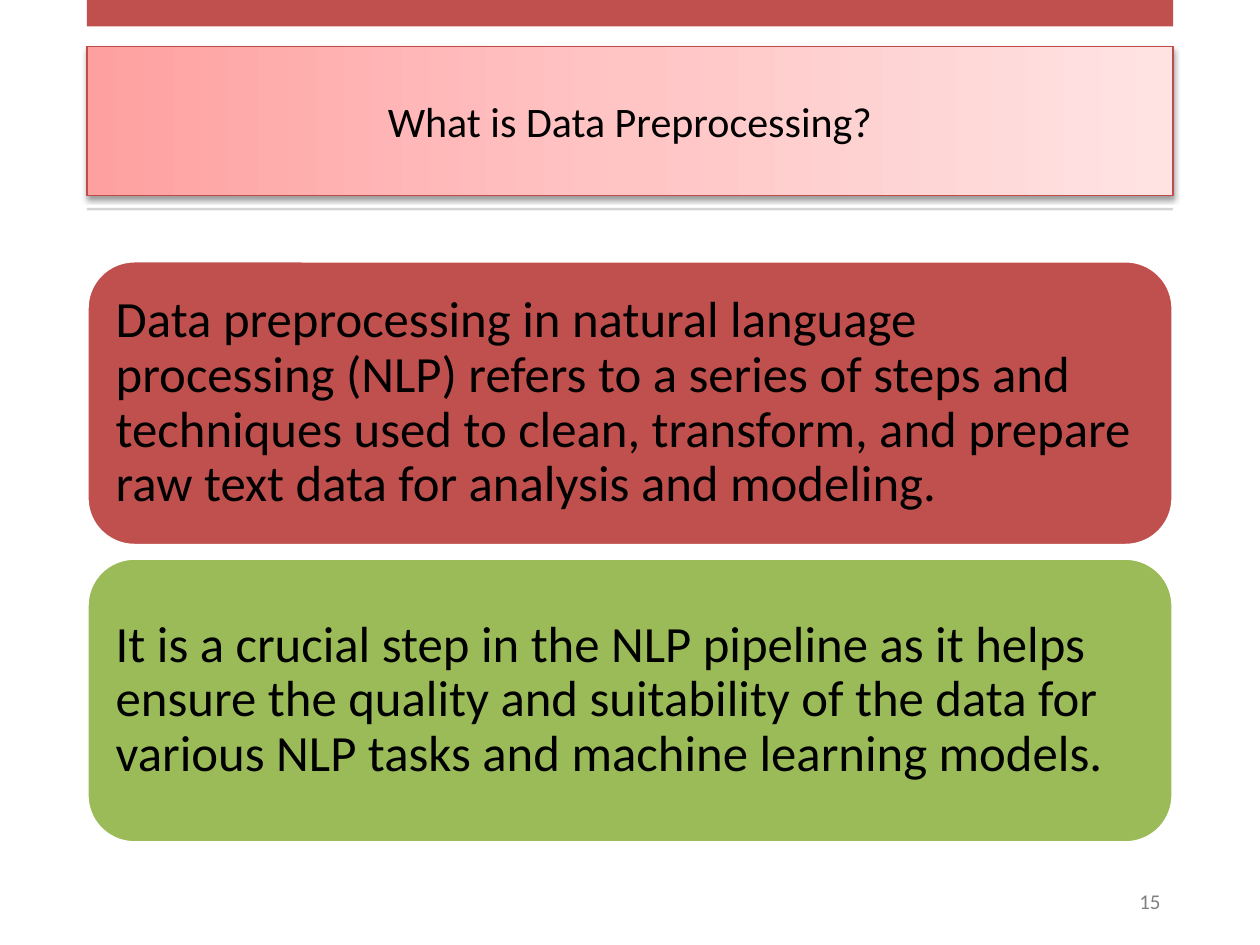
from pptx import Presentation
from pptx.dml.color import RGBColor
from pptx.enum import shapes, text
from pptx.oxml import parse_xml
from pptx.util import Pt

TITLE = "What is Data Preprocessing?"
NUMBER = "15"
CARDS = [
    ("Data preprocessing in natural language processing (NLP) refers to a series of "
     "steps and techniques used to clean, transform, and prepare raw text data for "
     "analysis and modeling.", "red"),
    ("It is a crucial step in the NLP pipeline as it helps ensure the quality and "
     "suitability of the data for various NLP tasks and machine learning models.", "green"),
]
THEME = {
    "font": "Calibri",
    "size": {"title": 24, "card": 29, "number": 12},
    "color": {"red": "C0504D", "green": "9BBB59", "rule": "D5D5D5", "edge": "BF4C48",
              "ink": "000000", "gray": "808080", "white": "FFFFFF"},
    "grad": [(0, "FFA0A0"), (50, "FFC5C5"), (100, "FFE3E3")],
}
LEFT, WIDE = 49.68, 620.64
TOP, HIGH, GAP = 149.04, 162.72, 7.2
INSET = 8.5
NS = 'xmlns:a="http://schemas.openxmlformats.org/drawingml/2006/main"'


def color(name):
    return RGBColor.from_string(THEME["color"][name])


def write(shape, words, role, align, ink="ink"):
    frame = shape.text_frame
    frame.word_wrap = True
    frame.auto_size = text.MSO_AUTO_SIZE.NONE
    frame.vertical_anchor = text.MSO_ANCHOR.MIDDLE
    para = frame.paragraphs[0]
    para.alignment = align
    run = para.add_run()
    run.text = words
    run.font.name = THEME["font"]
    run.font.size = Pt(THEME["size"][role])
    run.font.color.rgb = color(ink)
    return frame


def block(slide, kind, top, high, fill):
    shape = slide.shapes.add_shape(kind, Pt(LEFT), Pt(top), Pt(WIDE), Pt(high))
    shape.shadow.inherit = False
    shape.fill.solid()
    shape.fill.fore_color.rgb = color(fill)
    shape.line.fill.background()
    return shape


def head(slide):
    title = slide.shapes.title
    title.left, title.top, title.width, title.height = Pt(LEFT), Pt(26.64), Pt(WIDE), Pt(84.96)
    stops = "".join(f'<a:gs pos="{pos * 1000}"><a:srgbClr val="{tint}"/></a:gs>'
                    for pos, tint in THEME["grad"])
    props = title.element.spPr
    props.append(parse_xml(f'<a:prstGeom {NS} prst="rect"><a:avLst/></a:prstGeom>'))
    props.append(parse_xml(f'<a:gradFill {NS} rotWithShape="1"><a:gsLst>{stops}</a:gsLst>'
                           '<a:lin ang="0" scaled="0"/></a:gradFill>'))
    title.line.color.rgb = color("edge")
    title.line.width = Pt(0.75)
    props.append(parse_xml(
        f'<a:effectLst {NS}><a:outerShdw blurRad="{Pt(3.1)}" dist="{Pt(1.6)}" dir="5400000" '
        'rotWithShape="0"><a:srgbClr val="000000"><a:alpha val="38000"/></a:srgbClr>'
        '</a:outerShdw></a:effectLst>'))
    write(title, TITLE, "title", text.PP_ALIGN.CENTER)


def main():
    deck = Presentation()
    deck.slide_width, deck.slide_height = Pt(720), Pt(540)
    slide = deck.slides.add_slide(deck.slide_layouts[5])
    head(slide)
    kinds = shapes.MSO_SHAPE
    block(slide, kinds.RECTANGLE, 0, 15.12, "red")
    block(slide, kinds.RECTANGLE, 118.8, 1.44, "rule")

    box = slide.shapes.add_textbox(Pt(514.8), Pt(500.4), Pt(155.52), Pt(28.8))
    write(box, NUMBER, "number", text.PP_ALIGN.RIGHT, "gray")

    for i, (words, fill) in enumerate(CARDS):
        card = block(slide, kinds.ROUNDED_RECTANGLE, TOP + i * (HIGH + GAP), HIGH, fill)
        card.line.color.rgb = color("white")
        card.line.width = Pt(2)
        frame = write(card, words, "card", text.PP_ALIGN.LEFT)
        frame.margin_left = frame.margin_right = Pt(INSET)
        frame.margin_top = frame.margin_bottom = Pt(INSET)
        frame.paragraphs[0].line_spacing = 0.9

    deck.save("out.pptx")


if __name__ == "__main__":
    main()
